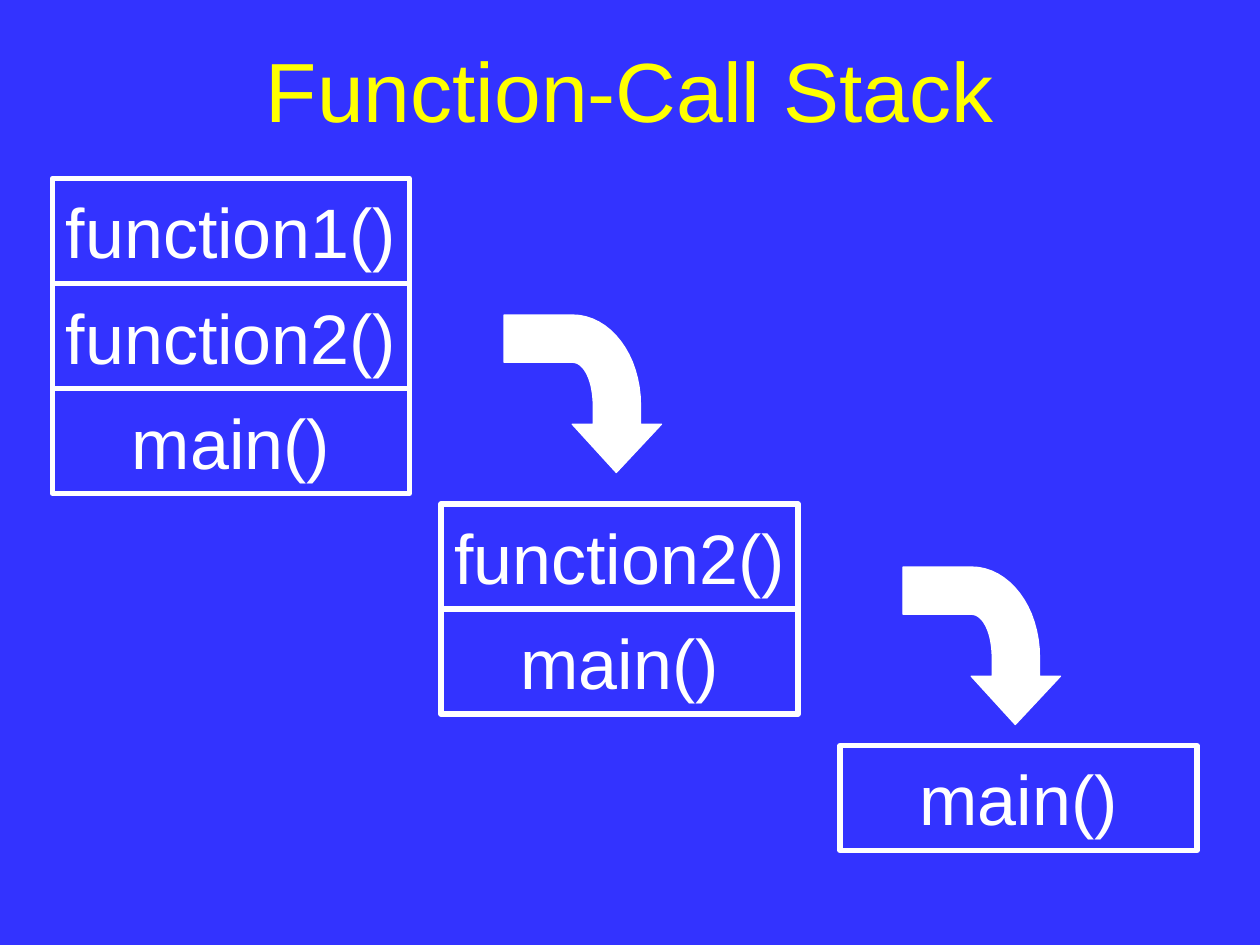
from dataclasses import dataclass

import pptx
import pptx.dml.color
import pptx.enum.shapes
import pptx.enum.text
import pptx.util

PX = 7620  # EMU per px: 120 px to the inch
FRAME_W, FRAME_H = 340, 100
WHITE, YELLOW, BLUE = "FFFFFF", "FFFF00", "3333FF"


@dataclass(frozen=True)
class CallStack:
    left: int
    top: int
    calls: tuple[str, ...]


@dataclass(frozen=True)
class PopArrow:
    left: int
    top: int


STACKS = (
    CallStack(50, 170, ("function1()", "function2()", "main()")),
    CallStack(420, 480, ("function2()", "main()")),
    CallStack(800, 710, ("main()",)),
)
ARROWS = (PopArrow(480, 300), PopArrow(860, 540))


def rgb(colour: str) -> pptx.dml.color.RGBColor:
    return pptx.dml.color.RGBColor.from_string(colour)


def write(shape, text: str, size: int, colour: str, wrap: bool) -> None:
    frame = shape.text_frame
    frame.word_wrap = wrap
    frame.vertical_anchor = pptx.enum.text.MSO_ANCHOR.MIDDLE
    paragraph = frame.paragraphs[0]
    paragraph.text = text
    paragraph.alignment = pptx.enum.text.PP_ALIGN.CENTER
    font_format = {"name": "Arial", "size": pptx.util.Pt(size), "bold": False}
    for attribute, value in font_format.items():
        setattr(paragraph.font, attribute, value)
    paragraph.font.color.rgb = rgb(colour)


def outline(shape, width: float) -> None:
    shape.shadow.inherit = False
    shape.line.color.rgb = rgb(WHITE)
    shape.line.width = pptx.util.Pt(width)


def draw_stack(slide, stack: CallStack) -> None:
    for row, call in enumerate(stack.calls):
        box = (stack.left, stack.top + row * FRAME_H, FRAME_W, FRAME_H)
        call_frame = slide.shapes.add_shape(
            pptx.enum.shapes.MSO_SHAPE.RECTANGLE, *(value * PX for value in box))
        call_frame.fill.background()
        outline(call_frame, 3)
        write(call_frame, call, 40, WHITE, wrap=False)


def curve(*controls: tuple[int, int], steps: int = 16) -> list[tuple[float, float]]:
    """Points along a cubic curve, both ends included."""
    points = []
    for step in range(steps + 1):
        t = step / steps
        weights = ((1 - t) ** 3, 3 * t * (1 - t) ** 2, 3 * t * t * (1 - t), t ** 3)
        points.append(tuple(sum(w * c[axis] for w, c in zip(weights, controls))
                            for axis in (0, 1)))
    return points


def draw_arrow(slide, arrow: PopArrow) -> None:
    outer_bend = curve((65, 0), (101, 0), (130, 38), (130, 86))
    inner_bend = curve((85, 86), (85, 64), (77, 45), (65, 45))
    head = [(130, 104), (150, 104), (107, 150), (65, 104), (85, 104)]
    points = [(0, 0), *outer_bend, *head, *inner_bend, (0, 45)]
    placed = [(round((arrow.left + x) * PX), round((arrow.top + y) * PX))
              for x, y in points]
    builder = slide.shapes.build_freeform(*placed[0])
    builder.add_line_segments(placed[1:], close=True)
    bent_arrow = builder.convert_to_shape()
    bent_arrow.fill.solid()
    bent_arrow.fill.fore_color.rgb = rgb(WHITE)
    outline(bent_arrow, 0.75)


def main() -> None:
    deck = pptx.Presentation()
    deck.slide_width, deck.slide_height = 1200 * PX, 900 * PX
    slide = deck.slides.add_slide(deck.slide_layouts[6])
    slide.background.fill.solid()
    slide.background.fill.fore_color.rgb = rgb(BLUE)

    # Title
    title = slide.shapes.add_textbox(60 * PX, 10 * PX, 1080 * PX, 150 * PX)
    write(title, "Function-Call Stack", 48, YELLOW, wrap=True)

    # The stack after each return
    for stack in STACKS:
        draw_stack(slide, stack)

    # Arrows from one state to the next
    for arrow in ARROWS:
        draw_arrow(slide, arrow)

    deck.save("out.pptx")


if __name__ == "__main__":
    main()
